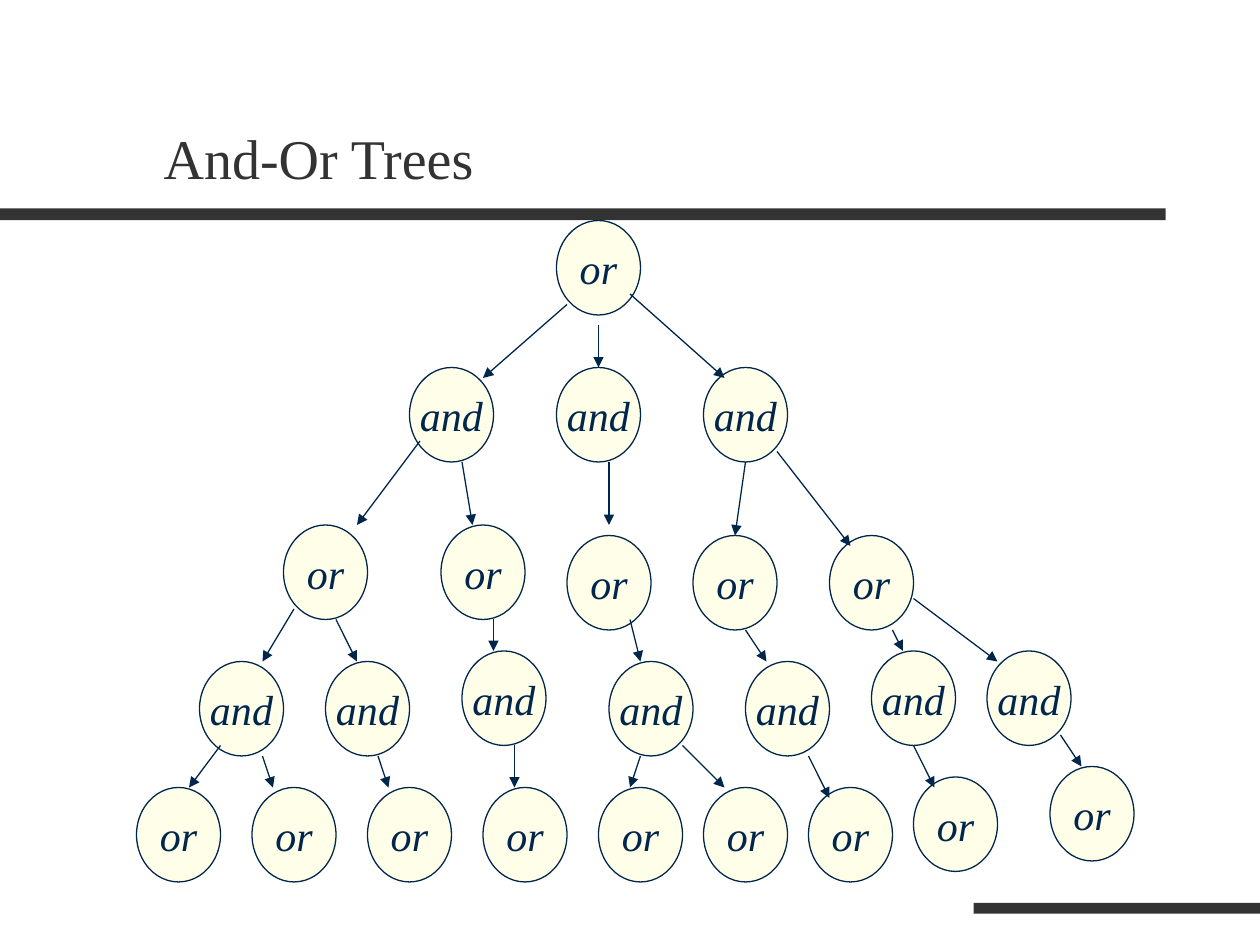
from typing import NamedTuple

from lxml.etree import SubElement
from pptx import Presentation
from pptx.dml.color import RGBColor
from pptx.enum.shapes import MSO_CONNECTOR as Connector, MSO_SHAPE as Preset
from pptx.enum.text import MSO_ANCHOR as Anchor, PP_ALIGN as Align
from pptx.oxml.ns import qn
from pptx.util import Cm, Pt

COLORS = {"dark": "333333", "navy": "00264C", "cream": "FFFFE9"}
FONT = "Times New Roman"
NODE_WIDTH, NODE_HEIGHT = 8, 9  # grid steps


class Node(NamedTuple):
    left: int
    top: int


class Arrow(NamedTuple):
    start_x: int
    start_y: int
    end_x: int
    end_y: int


class Bar(NamedTuple):
    left: float
    top: float
    width: float
    height: float


BARS = [Bar(0, 4.2, 23.5, 0.24), Bar(19.63, 18.2, 5.77, 0.22)]

# Levels of the tree from the root down, in grid steps
LEVELS = [
    ("or", [Node(53, 21)]),
    ("and", [Node(39, 35), Node(53, 35), Node(67, 35)]),
    ("or", [Node(27, 50), Node(42, 50), Node(54, 51), Node(66, 51), Node(79, 51)]),
    ("and", [Node(19, 63), Node(31, 63), Node(44, 62), Node(58, 63),
             Node(71, 63), Node(83, 62), Node(94, 62)]),
    ("or", [Node(13, 75), Node(24, 75), Node(35, 75), Node(46, 75), Node(57, 75),
            Node(67, 75), Node(77, 75), Node(87, 74), Node(100, 73)]),
]

ARROWS = [
    # root to second level
    Arrow(54, 29, 46, 36), Arrow(57, 31, 57, 35), Arrow(60, 28, 69, 36),
    # second to third level
    Arrow(40, 42, 34, 50), Arrow(44, 44, 45, 50), Arrow(58, 44, 58, 50),
    Arrow(71, 44, 70, 51), Arrow(74, 43, 81, 52),
    # third to fourth level
    Arrow(28, 58, 25, 63), Arrow(32, 59, 34, 63), Arrow(47, 59, 47, 62),
    Arrow(60, 59, 61, 63), Arrow(71, 60, 73, 63), Arrow(85, 60, 86, 62),
    Arrow(87, 57, 95, 63),
    # fourth level to leaves
    Arrow(21, 71, 18, 75), Arrow(25, 72, 26, 75), Arrow(36, 72, 37, 75),
    Arrow(49, 71, 49, 75), Arrow(61, 72, 60, 75), Arrow(65, 71, 69, 75),
    Arrow(77, 72, 79, 76), Arrow(87, 71, 89, 75), Arrow(101, 70, 103, 73),
]


def grid(steps: int) -> Cm:
    """Convert grid steps, twelve to the inch, to a length."""
    return Cm(steps * 2.54 / 12)


def color(name: str) -> RGBColor:
    return RGBColor.from_string(COLORS[name])


def write_text(shape, text: str, *, size: int, color_name: str, italic: bool = False,
               align=Align.LEFT, anchor=Anchor.MIDDLE, wrap: bool = False) -> None:
    frame = shape.text_frame
    frame.word_wrap = wrap
    frame.vertical_anchor = anchor
    paragraph = frame.paragraphs[0]
    paragraph.alignment = align
    run = paragraph.add_run()
    run.text = text
    run.font.name = FONT
    run.font.size = Pt(size)
    run.font.italic = italic
    run.font.color.rgb = color(color_name)


def add_bar(slide, bar: Bar) -> None:
    shape = slide.shapes.add_shape(Preset.RECTANGLE, *(Cm(length) for length in bar))
    shape.shadow.inherit = False
    shape.fill.solid()
    shape.fill.fore_color.rgb = color("dark")
    shape.line.fill.background()


def add_title(slide, text: str) -> None:
    box = slide.shapes.add_textbox(Cm(3.05), Cm(0.79), Cm(21.59), Cm(3.18))
    write_text(box, text, size=32, color_name="dark", anchor=Anchor.BOTTOM, wrap=True)


def add_node(slide, node: Node, label: str) -> None:
    shape = slide.shapes.add_shape(Preset.OVAL, grid(node.left), grid(node.top),
                                   grid(NODE_WIDTH), grid(NODE_HEIGHT))
    shape.shadow.inherit = False
    shape.fill.solid()
    shape.fill.fore_color.rgb = color("cream")
    shape.line.color.rgb = color("navy")
    shape.line.width = Pt(0.75)
    write_text(shape, label, size=24, color_name="navy", italic=True, align=Align.CENTER)


def add_arrow(slide, arrow: Arrow) -> None:
    connector = slide.shapes.add_connector(Connector.STRAIGHT, *map(grid, arrow))
    connector.line.color.rgb = color("navy")
    connector.line.width = Pt(0.75)
    properties = connector._element.spPr
    SubElement(properties.find(qn("a:ln")), qn("a:tailEnd"), type="triangle")
    SubElement(properties, qn("a:effectLst"))


def main() -> None:
    presentation = Presentation()
    presentation.slide_width, presentation.slide_height = Cm(25.4), Cm(19.05)
    slide = presentation.slides.add_slide(presentation.slide_layouts[6])
    for bar in BARS:
        add_bar(slide, bar)
    add_title(slide, "And-Or Trees")
    for label, nodes in LEVELS:
        for node in nodes:
            add_node(slide, node, label)
    for arrow in ARROWS:
        add_arrow(slide, arrow)
    presentation.save("out.pptx")


if __name__ == "__main__":
    main()
